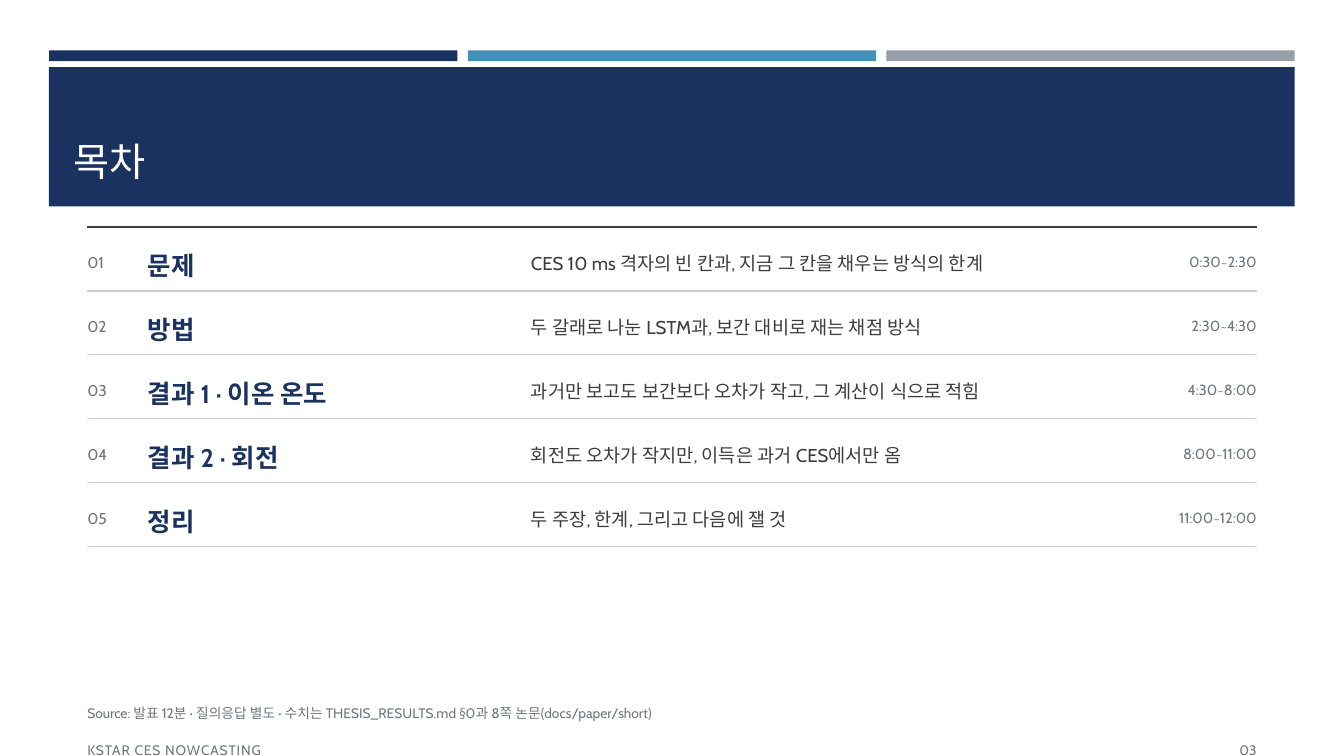
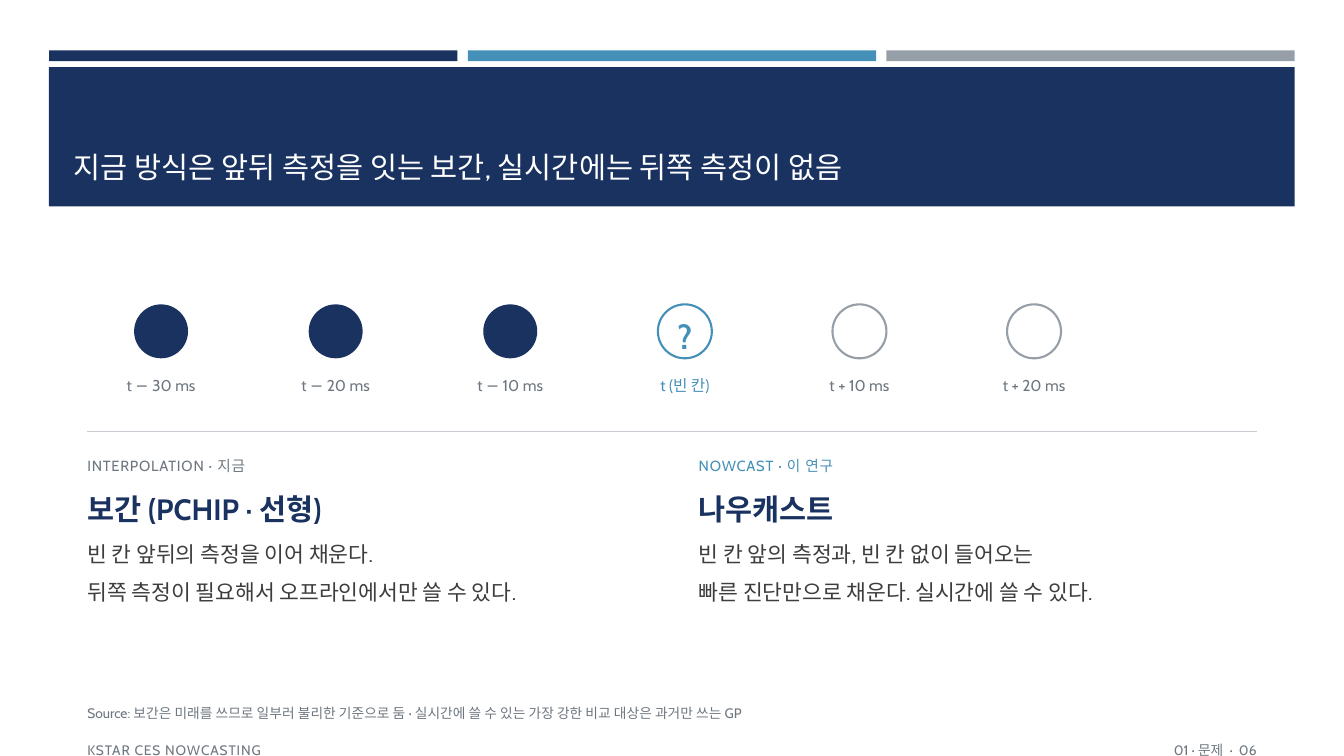
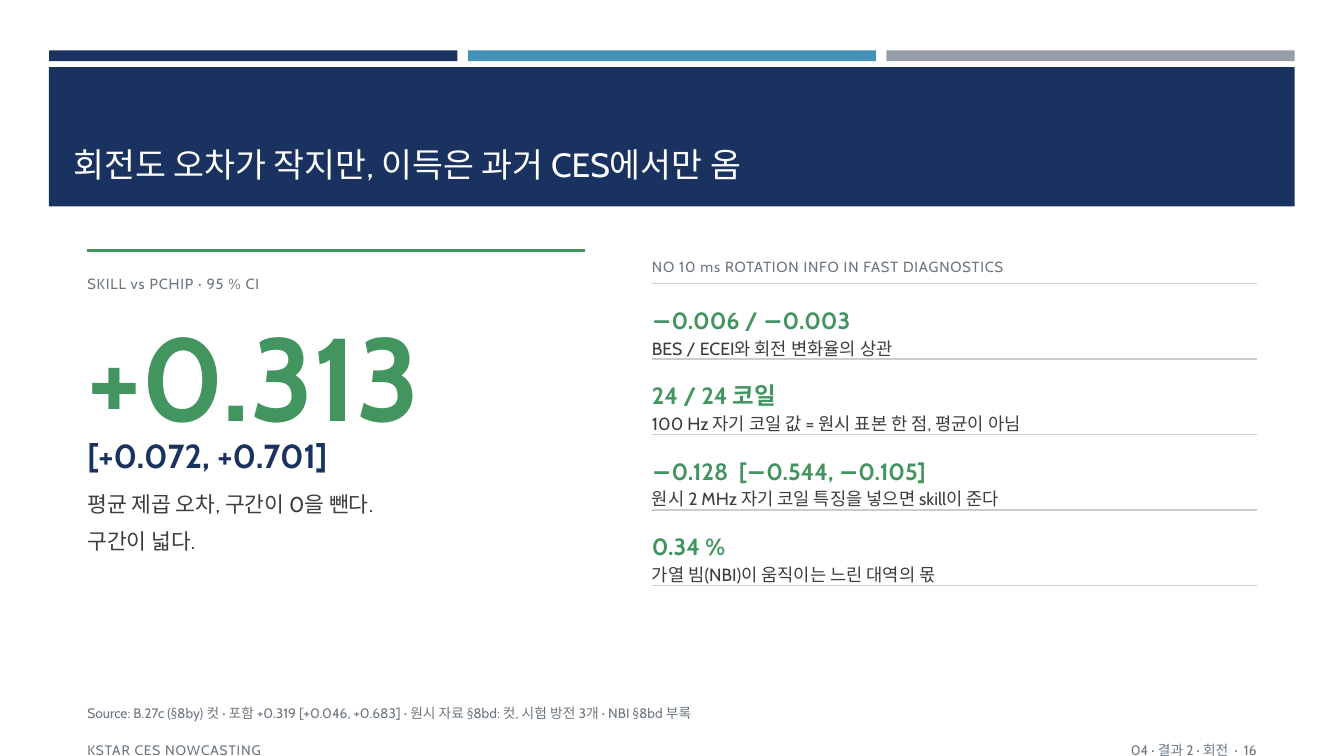
from dataclasses import dataclass, replace
from typing import NamedTuple

from lxml import etree
from pptx import Presentation
from pptx.dml.color import RGBColor
from pptx.enum.shapes import MSO_CONNECTOR, MSO_SHAPE
from pptx.enum.text import MSO_ANCHOR, PP_ALIGN
from pptx.oxml.ns import qn
from pptx.slide import Slide
from pptx.util import Cm, Pt

RECT, OVAL = MSO_SHAPE.RECTANGLE, MSO_SHAPE.OVAL
STRAIGHT = MSO_CONNECTOR.STRAIGHT
TOP, MIDDLE, BOTTOM = MSO_ANCHOR.TOP, MSO_ANCHOR.MIDDLE, MSO_ANCHOR.BOTTOM
LEFT, CENTER, RIGHT = PP_ALIGN.LEFT, PP_ALIGN.CENTER, PP_ALIGN.RIGHT

FONT = "Cabin"
NAVY, BLUE, GRAY, GREEN = "1A3260", "4590B8", "969FA7", "42955F"
DARK, MUTED, RULE, WHITE = "3D3D3D", "6E7780", "C9CDD3", "FFFFFF"
START, END = 2.2, 31.67


class Box(NamedTuple):
    left: float
    top: float
    width: float
    height: float


@dataclass(frozen=True)
class Style:
    size: float
    color: str
    bold: bool = False
    lead: float = 1.25
    track: int = 0
    align: PP_ALIGN = LEFT


@dataclass(frozen=True)
class Topic:
    name: str
    detail: str
    time: str


@dataclass(frozen=True)
class Sample:
    label: str
    fill: str
    edge: str = ""
    mark: str = ""
    color: str = MUTED


@dataclass(frozen=True)
class Method:
    left: float
    label: str
    color: str
    name: str
    detail: str


@dataclass(frozen=True)
class Fact:
    value: str
    label: str


NOTE = Style(9.8, MUTED)
LABEL = Style(10.5, MUTED, track=60)
SMALL = Style(11.2, MUTED)
BODY = Style(15.4, DARK, lead=1.45)

TOPICS = [
    Topic("문제", "CES 10 ms 격자의 빈 칸과, 지금 그 칸을 채우는 방식의 한계", "0:30~2:30"),
    Topic("방법", "두 갈래로 나눈 LSTM과, 보간 대비로 재는 채점 방식", "2:30~4:30"),
    Topic("결과 1 · 이온 온도", "과거만 보고도 보간보다 오차가 작고, 그 계산이 식으로 적힘", "4:30~8:00"),
    Topic("결과 2 · 회전", "회전도 오차가 작지만, 이득은 과거 CES에서만 옴", "8:00~11:00"),
    Topic("정리", "두 주장, 한계, 그리고 다음에 잴 것", "11:00~12:00"),
]
SAMPLES = [
    Sample("t − 30 ms", NAVY),
    Sample("t − 20 ms", NAVY),
    Sample("t − 10 ms", NAVY),
    Sample("t (빈 칸)", WHITE, BLUE, "?", BLUE),
    Sample("t + 10 ms", WHITE, GRAY),
    Sample("t + 20 ms", WHITE, GRAY),
]
METHODS = [
    Method(START, "INTERPOLATION · 지금", MUTED, "보간 (PCHIP · 선형)",
           "빈 칸 앞뒤의 측정을 이어 채운다.\n뒤쪽 측정이 필요해서 오프라인에서만 쓸 수 있다."),
    Method(17.61, "NOWCAST · 이 연구", BLUE, "나우캐스트",
           "빈 칸 앞의 측정과, 빈 칸 없이 들어오는\n빠른 진단만으로 채운다. 실시간에 쓸 수 있다."),
]
FACTS = [
    Fact("−0.006 / −0.003", "BES / ECEI와 회전 변화율의 상관"),
    Fact("24 / 24 코일", "100 Hz 자기 코일 값 = 원시 표본 한 점, 평균이 아님"),
    Fact("−0.128  [−0.544, −0.105]", "원시 2 MHz 자기 코일 특징을 넣으면 skill이 준다"),
    Fact("0.34 %", "가열 빔(NBI)이 움직이는 느린 대역의 몫"),
]


def paint(code: str) -> RGBColor:
    return RGBColor.from_string(code)


def write(slide: Slide, box: Box, text: str, style: Style,
          anchor: MSO_ANCHOR = TOP, inset: tuple[float, float] = (0, 0)) -> None:
    frame = slide.shapes.add_textbox(*map(Cm, box)).text_frame
    frame.word_wrap = True
    frame.vertical_anchor = anchor
    frame.margin_left = frame.margin_right = Cm(inset[0])
    frame.margin_top = frame.margin_bottom = Cm(inset[1])
    frame.text = text
    for para in frame.paragraphs:
        para.alignment = style.align
        para.line_spacing = style.lead
        for run in para.runs:
            run.font.name = FONT
            run.font.size = Pt(style.size)
            run.font.bold = style.bold
            run.font.color.rgb = paint(style.color)
            if style.track:
                run._r.get_or_add_rPr().set("spc", str(style.track))


def shape(slide: Slide, kind: MSO_SHAPE, box: Box, fill: str, edge: str = "") -> None:
    item = slide.shapes.add_shape(kind, *map(Cm, box))
    item.shadow.inherit = False
    item.fill.solid()
    item.fill.fore_color.rgb = paint(fill)
    if edge:
        item.line.color.rgb = paint(edge)
        item.line.width = Pt(1.5)
    else:
        item.line.fill.background()


def rule(slide: Slide, left: float, right: float, top: float,
         color: str = RULE, width: float = 1) -> None:
    line = slide.shapes.add_connector(STRAIGHT, Cm(left), Cm(top), Cm(right), Cm(top))
    line.line.color.rgb = paint(color)
    line.line.width = Pt(width)
    etree.SubElement(line._element.spPr, qn("a:effectLst"))


def page(deck: Presentation, title: str, size: float, source: str, number: str) -> Slide:
    slide = deck.slides.add_slide(deck.slide_layouts[6])
    for col, color in enumerate((NAVY, BLUE, GRAY)):
        shape(slide, RECT, Box(1.24 + col * 10.55, 1.27, 10.29, 0.27), color)
    shape(slide, RECT, Box(1.23, 1.69, 31.4, 3.51), NAVY)
    write(slide, Box(1.6, 2.03, 30.63, 2.74), title, Style(size, WHITE, lead=1),
          BOTTOM, (0.25, 0.13))
    write(slide, Box(START, 17.65, END - START, 0.68), source, NOTE)
    write(slide, Box(START, 18.59, 13.55, 0.51), "KSTAR CES NOWCASTING", replace(NOTE, track=60))
    write(slide, Box(END - 13.55, 18.59, 13.55, 0.51), number, replace(NOTE, align=RIGHT))
    return slide


def agenda(deck: Presentation) -> None:
    slide = page(deck, "목차", 28,
                 "Source: 발표 12분 · 질의응답 별도 · 수치는 THESIS_RESULTS.md §0과 8쪽 논문(docs/paper/short)",
                 "03")
    first, pitch = 5.72, 1.61
    rule(slide, START, END, first, DARK, 1.25)
    for row, topic in enumerate(TOPICS):
        top = first + row * pitch
        write(slide, Box(START, top + 0.54, 1.35, 0.84), f"{row + 1:02}", SMALL)
        write(slide, Box(3.73, top + 0.4, 9.48, 1.02), topic.name, Style(18.2, NAVY, True))
        write(slide, Box(13.38, top + 0.5, 14.56, 1.02), topic.detail, Style(13.3, DARK))
        write(slide, Box(END - 4.06, top + 0.54, 4.06, 0.84), topic.time,
              Style(10.5, MUTED, align=RIGHT))
        rule(slide, START, END, top + pitch)


def problem(deck: Presentation) -> None:
    slide = page(deck, "지금 방식은 앞뒤 측정을 잇는 보간, 실시간에는 뒤쪽 측정이 없음", 21,
                 "Source: 보간은 미래를 쓰므로 일부러 불리한 기준으로 둠 · "
                 "실시간에 쓸 수 있는 가장 강한 비교 대상은 과거만 쓰는 GP",
                 "01 · 문제  ·  06")
    top, dot = 7.67, 1.36
    for col, item in enumerate(SAMPLES):
        mid = 4.06 + col * 4.4
        spot = Box(mid - dot / 2, top, dot, dot)
        shape(slide, OVAL, spot, item.fill, item.edge)
        if item.mark:
            write(slide, spot, item.mark, Style(23.8, item.color, True, align=CENTER), MIDDLE)
        write(slide, Box(mid - 2.03, 9.36, 4.06, 0.84), item.label,
              replace(SMALL, color=item.color, align=CENTER))
    rule(slide, START, END, 10.87)
    for item in METHODS:
        write(slide, Box(item.left, 11.39, 14.05, 0.59), item.label,
              replace(LABEL, color=item.color))
        write(slide, Box(item.left, 12.15, 14.05, 1.02), item.name, Style(21, NAVY, True))
        write(slide, Box(item.left, 13.34, 14.05, 2.71), item.detail, BODY)


def result(deck: Presentation) -> None:
    slide = page(deck, "회전도 오차가 작지만, 이득은 과거 CES에서만 옴", 24,
                 "Source: B.27c (§8by) 컷 · 포함 +0.319 [+0.046, +0.683] · "
                 "원시 자료 §8bd: 컷, 시험 방전 3개 · NBI §8bd 부록",
                 "04 · 결과 2 · 회전  ·  16")
    wide = 12.53
    rule(slide, START, START + wide, 6.31, GREEN, 2)
    write(slide, Box(START, 6.82, wide, 0.59), "SKILL vs PCHIP · 95 % CI", LABEL)
    write(slide, Box(START, 7.66, wide, 3.22), "+0.313", Style(84, GREEN, True, 1))
    write(slide, Box(START, 10.72, wide, 1.19), "[+0.072, +0.701]", Style(23.8, NAVY, True))
    write(slide, Box(START, 12.07, wide, 2.37),
          "평균 제곱 오차, 구간이 0을 뺀다.\n구간이 넓다.", BODY)

    left, first, pitch = 16.43, 7.15, 1.9
    wide = END - left
    write(slide, Box(left, 6.39, wide, 0.59), "NO 10 ms ROTATION INFO IN FAST DIAGNOSTICS", LABEL)
    rule(slide, left, END, first)
    for row, fact in enumerate(FACTS):
        top = first + row * pitch
        write(slide, Box(left, top + 0.38, wide, 0.84), fact.value, Style(16.8, GREEN, True))
        write(slide, Box(left, top + 1.22, wide, 1.02), fact.label, Style(12.6, DARK))
        rule(slide, left, END, top + pitch)


def main() -> None:
    deck = Presentation()
    deck.slide_width, deck.slide_height = Cm(33.87), Cm(19.05)
    agenda(deck)
    problem(deck)
    result(deck)
    deck.save("out.pptx")


if __name__ == "__main__":
    main()
